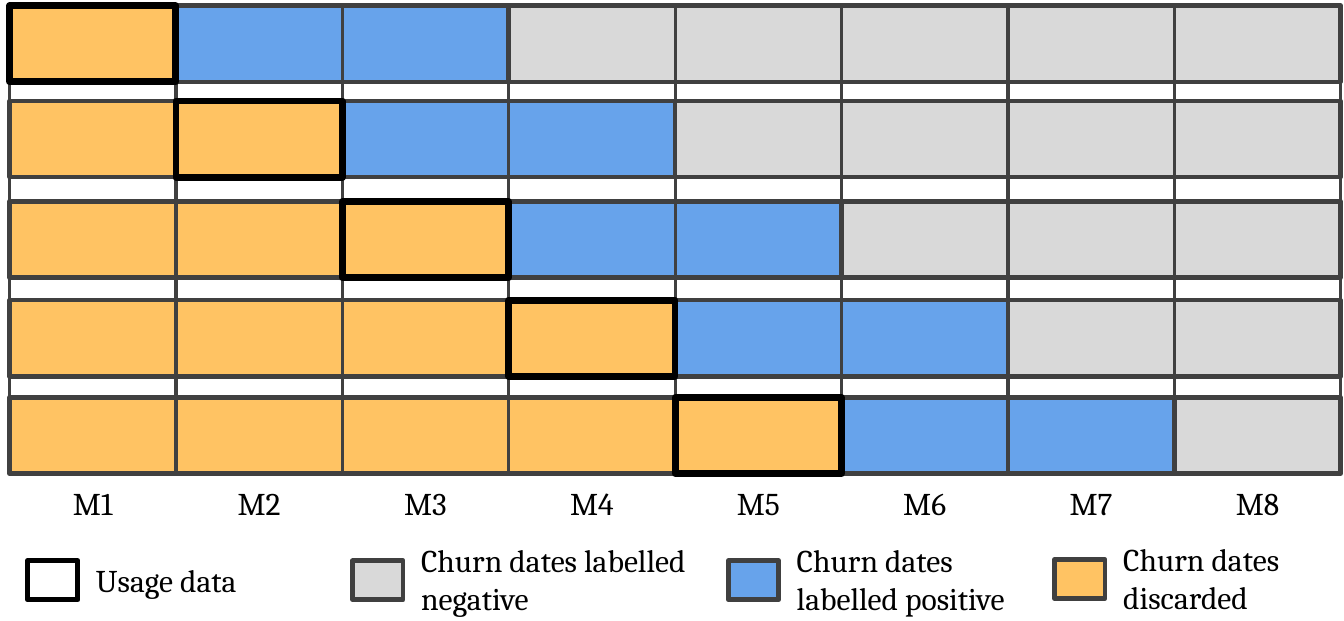
from typing import NamedTuple, Optional

from lxml import etree
from pptx import Presentation
from pptx import util as u
from pptx.dml.color import RGBColor
from pptx.enum import shapes, text
from pptx.oxml.ns import qn

ORANGE, BLUE, GREY = "FFC363", "67A3EB", "D9D9D9"
BORDER, BLACK = "404040", "000000"
LEFT, MONTH_WIDTH, MONTHS = 0.15, 2.6, 8
ROW_TOPS = [0.09, 1.58, 3.15, 4.69, 6.21]
ROW_HEIGHT, GRID_TOP, GRID_BOTTOM = 1.19, 0.08, 7.4
POSITIVE_MONTHS = 2


class Key(NamedTuple):
    """Legend entry, with lengths in centimetres."""
    caption: str
    left: float
    top: float
    caption_top: float
    caption_width: float
    fill: Optional[str]
    border: str
    weight: float


KEYS = [
    Key("Usage data", 0.43, 8.76, 8.64, 3.99, None, BLACK, 2.25),
    Key("Churn dates labelled negative", 5.51, 8.76, 8.33, 4.8, GREY, BORDER, 2),
    Key("Churn dates labelled positive", 11.38, 8.76, 8.33, 3.99, BLUE, BORDER, 2),
    Key("Churn dates discarded", 16.48, 8.74, 8.31, 3.99, ORANGE, BORDER, 2),
]


def paint(target, colour: str) -> None:
    """Give a fill or line format a solid colour."""
    fill = getattr(target, "fill", target)
    fill.solid()
    fill.fore_color.rgb = RGBColor.from_string(colour)


def month_left(month: int) -> float:
    """Return the left edge of a month column."""
    return LEFT + month * MONTH_WIDTH


def add_rect(parent, left: float, top: float, width: float, height: float,
             fill: Optional[str], border: str = BORDER, weight: float = 2) -> None:
    """Draw a bordered rectangle, hollow when no fill is given."""
    rect = parent.add_shape(shapes.MSO_SHAPE.RECTANGLE,
                            u.Cm(left), u.Cm(top), u.Cm(width), u.Cm(height))
    rect.shadow.inherit = False
    if fill:
        paint(rect.fill, fill)
    else:
        rect.fill.background()
    paint(rect.line, border)
    rect.line.width = u.Pt(weight)


def add_bar(parent, top: float, start: int, end: int, fill: Optional[str],
            border: str = BORDER, weight: float = 2) -> None:
    """Draw a bar from the start month up to the end month."""
    add_rect(parent, month_left(start), top, (end - start) * MONTH_WIDTH,
             ROW_HEIGHT, fill, border, weight)


def add_divider(parent, month: int) -> None:
    """Draw the vertical line at a month boundary."""
    x = u.Cm(month_left(month))
    line = parent.add_connector(shapes.MSO_CONNECTOR.STRAIGHT,
                                x, u.Cm(GRID_TOP), x, u.Cm(GRID_BOTTOM))
    paint(line.line, BORDER)
    line.line.width = u.Pt(1.5)
    etree.SubElement(line._element.spPr, qn("a:effectLst"))


def add_label(parent, caption: str, left: float, top: float, width: float,
              height: float, align: text.PP_ALIGN = text.PP_ALIGN.LEFT) -> None:
    """Write a wrapped text label."""
    box = parent.add_textbox(u.Cm(left), u.Cm(top), u.Cm(width), u.Cm(height))
    box.text_frame.word_wrap = True
    para = box.text_frame.paragraphs[0]
    para.text = caption
    para.alignment = align
    para.font.name = "Cambria"
    para.font.size = u.Pt(14)
    paint(para.font.fill, BLACK)


def add_key(parent, key: Key) -> None:
    """Draw a legend swatch grouped with its caption."""
    group = parent.add_group_shape().shapes
    add_rect(group, key.left, key.top, 0.79, 0.61, key.fill, key.border, key.weight)
    height = 2 * (key.top + 0.3 - key.caption_top)
    add_label(group, key.caption, key.left + 0.82, key.caption_top,
              key.caption_width, height)


def main() -> None:
    """Build the churn labelling slide."""
    deck = Presentation()
    deck.slide_width, deck.slide_height = u.Cm(21), u.Cm(9.7)
    page = deck.slides.add_slide(deck.slide_layouts[6])
    canvas = page.shapes

    for usage, top in enumerate(ROW_TOPS):
        positive = usage + 1
        negative = positive + POSITIVE_MONTHS
        add_bar(canvas, top, 0, positive, ORANGE)
        add_bar(canvas, top, negative, MONTHS, GREY)
        add_bar(canvas, top, positive, negative, BLUE)
    for month in range(MONTHS + 1):
        add_divider(canvas, month)
    for usage, top in enumerate(ROW_TOPS):
        add_bar(canvas, top, usage, usage + 1, None, BLACK, 3)
    for month in range(MONTHS):
        add_label(canvas, f"M{month + 1}", month_left(month) - 0.35, 7.44,
                  MONTH_WIDTH + 0.7, 0.86, text.PP_ALIGN.CENTER)
    for key in KEYS:
        add_key(canvas, key)

    deck.save("out.pptx")


main()
